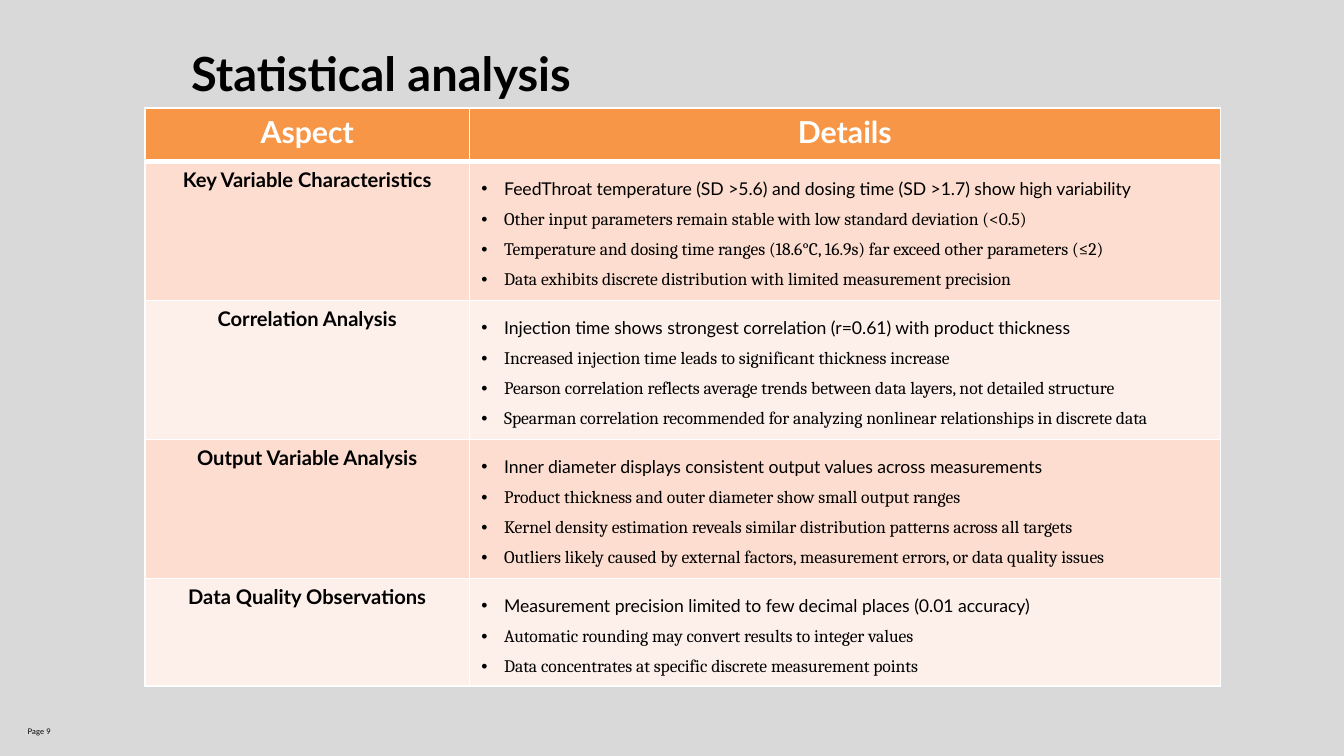
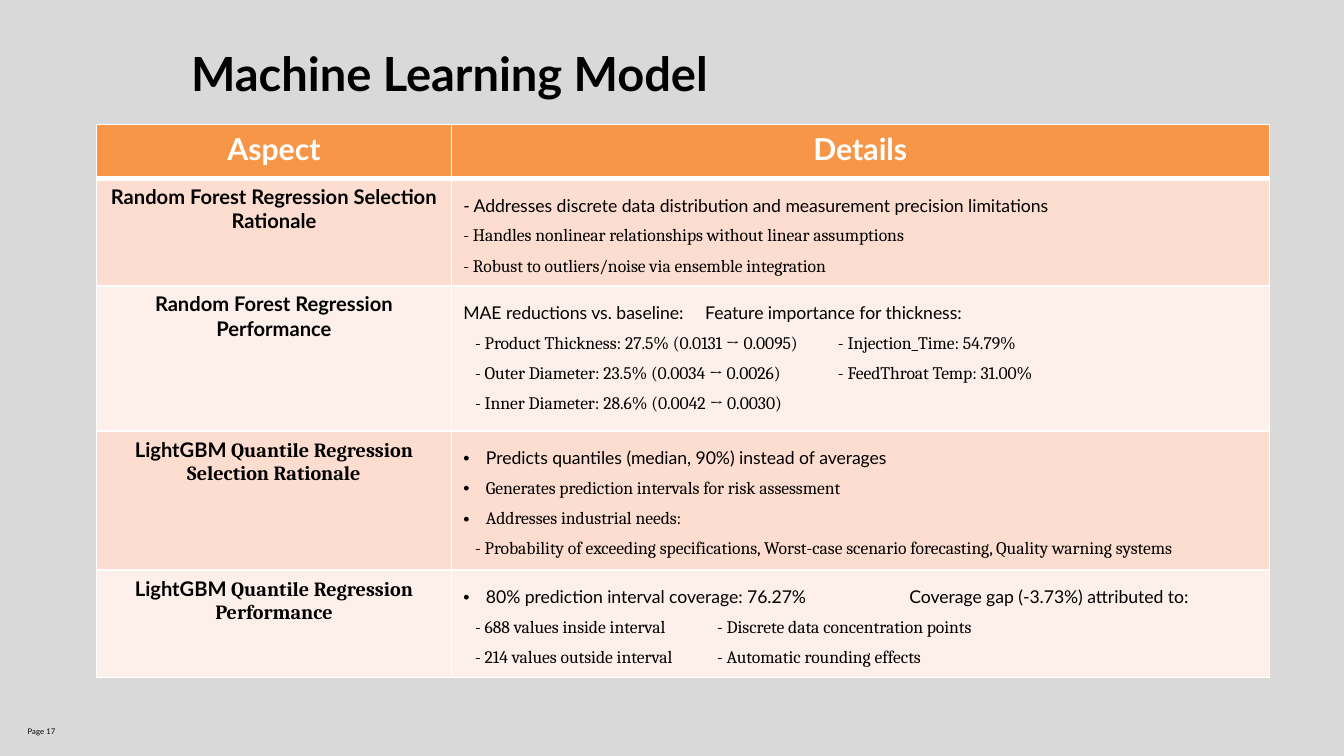
from typing import NamedTuple

from lxml import etree
from pptx import Presentation
from pptx.dml.color import RGBColor
from pptx.enum.text import MSO_ANCHOR, PP_ALIGN
from pptx.oxml.ns import qn
from pptx.util import Pt

CENTER = PP_ALIGN.CENTER
LEFT = PP_ALIGN.LEFT
MIDDLE = MSO_ANCHOR.MIDDLE

# Shared look
BACKGROUND = "D9D9D9"
HEADER_FILL = "F79646"
BAND_FILLS = ("FCDDCF", "FDEFE9")
WHITE = "FFFFFF"
BLACK = "000000"
SANS = "Lato"
SERIF = "Cambria"
THIN, THICK = 1, 3
HEADINGS = ("Aspect", "Details")


class Line(NamedTuple):
    """One line of details; a tab in the text jumps to the stop at tab points."""
    text: str
    indent: float = 0
    bulleted: bool = False
    tab: float = 0


def bullet(text, tab=0):
    return Line(text, 13.5, True, tab)


def sub(text, tab=0):
    return Line(text, 7, False, tab)


STATISTICS = [
    ([("Key Variable Characteristics", SANS)], [
        bullet("FeedThroat temperature (SD >5.6) and dosing time (SD >1.7) show high variability"),
        bullet("Other input parameters remain stable with low standard deviation (<0.5)"),
        bullet("Temperature and dosing time ranges (18.6°C, 16.9s) far exceed other parameters (≤2)"),
        bullet("Data exhibits discrete distribution with limited measurement precision")]),
    ([("Correlation Analysis", SANS)], [
        bullet("Injection time shows strongest correlation (r=0.61) with product thickness"),
        bullet("Increased injection time leads to significant thickness increase"),
        bullet("Pearson correlation reflects average trends between data layers, not detailed structure"),
        bullet("Spearman correlation recommended for analyzing nonlinear relationships in discrete data")]),
    ([("Output Variable Analysis", SANS)], [
        bullet("Inner diameter displays consistent output values across measurements"),
        bullet("Product thickness and outer diameter show small output ranges"),
        bullet("Kernel density estimation reveals similar distribution patterns across all targets"),
        bullet("Outliers likely caused by external factors, measurement errors, or data quality issues")]),
    ([("Data Quality Observations", SANS)], [
        bullet("Measurement precision limited to few decimal places (0.01 accuracy)"),
        bullet("Automatic rounding may convert results to integer values"),
        bullet("Data concentrates at specific discrete measurement points")]),
]

MODELS = [
    ([("Random Forest Regression Selection Rationale", SANS)], [
        Line("- Addresses discrete data distribution and measurement precision limitations"),
        Line("- Handles nonlinear relationships without linear assumptions"),
        Line("- Robust to outliers/noise via ensemble integration")]),
    ([("Random Forest Regression Performance", SANS)], [
        Line("MAE reductions vs. baseline:\tFeature importance for thickness:", tab=256.5),
        sub("- Product Thickness: 27.5% (0.0131 → 0.0095)\t- Injection_Time: 54.79%", 236),
        sub("- Outer Diameter: 23.5% (0.0034 → 0.0026)\t- FeedThroat Temp: 31.00%", 237),
        sub("- Inner Diameter: 28.6% (0.0042 → 0.0030)")]),
    ([("LightGBM", SANS), (" Quantile Regression Selection Rationale", SERIF)], [
        bullet("Predicts quantiles (median, 90%) instead of averages"),
        bullet("Generates prediction intervals for risk assessment"),
        bullet("Addresses industrial needs:"),
        sub("- Probability of exceeding specifications, Worst-case scenario forecasting, "
            "Quality warning systems")]),
    ([("LightGBM", SANS), (" Quantile Regression Performance", SERIF)], [
        bullet("80% prediction interval coverage: 76.27%\tCoverage gap (-3.73%) attributed to:", 265.5),
        sub("- 688 values inside interval\t- Discrete data concentration points", 233),
        sub("- 214 values outside interval\t- Automatic rounding effects", 232.5)]),
]


def color(hex_value):
    return RGBColor.from_string(hex_value)


def add_run(paragraph, text, size, font=SANS, bold=False, ink=BLACK):
    run = paragraph.add_run()
    run.text = text
    run.font.size = Pt(size)
    run.font.name = font
    run.font.bold = bold
    run.font.color.rgb = color(ink)
    return run


def add_title(slide, text):
    frame = slide.shapes.add_textbox(Pt(113.8), Pt(30.2), Pt(543), Pt(29)).text_frame
    frame.word_wrap = True
    frame.margin_left = frame.margin_right = frame.margin_top = frame.margin_bottom = 0
    paragraph = frame.paragraphs[0]
    paragraph.line_spacing = 0.9
    add_run(paragraph, text, 28, bold=True)


def add_page_label(slide, number):
    frame = slide.shapes.add_textbox(Pt(9.4), Pt(420.5), Pt(69), Pt(24)).text_frame
    frame.word_wrap = True
    frame.vertical_anchor = MIDDLE
    run = add_run(frame.paragraphs[0], f"Page {number}", 8)
    run.font._element.set("baseline", "-25000")


def style_cell(cell, fill, top=THIN, bottom=THIN):
    properties = cell._tc.get_or_add_tcPr()
    for side, width in (("L", THIN), ("R", THIN), ("T", top), ("B", bottom)):
        border = etree.SubElement(properties, qn(f"a:ln{side}"), w=str(Pt(width)))
        ink = etree.SubElement(border, qn("a:solidFill"))
        etree.SubElement(ink, qn("a:srgbClr"), val=WHITE)
    cell.fill.solid()
    cell.fill.fore_color.rgb = color(fill)


def format_line(paragraph, line):
    properties = paragraph._p.get_or_add_pPr()
    properties.set("marL", str(Pt(line.indent)))
    properties.set("indent", str(-Pt(line.indent) if line.bulleted else 0))
    if line.bulleted:
        etree.SubElement(properties, qn("a:buFont"), typeface="Arial")
        etree.SubElement(properties, qn("a:buChar"), char="•")
    if line.tab:
        stops = etree.SubElement(properties, qn("a:tabLst"))
        etree.SubElement(stops, qn("a:tab"), pos=str(Pt(line.tab)), algn="l")
    paragraph.alignment = LEFT
    paragraph.line_spacing = 1.5


def fill_details(cell, lines):
    # The lead line is sans, the rest serif
    frame = cell.text_frame
    for index, line in enumerate(lines):
        paragraph = frame.add_paragraph() if index else frame.paragraphs[0]
        format_line(paragraph, line)
        add_run(paragraph, line.text, 10.5, SERIF if index else SANS)


def add_aspect_table(slide, left, top, widths, heights, aspects):
    table = slide.shapes.add_table(len(heights), len(widths), Pt(left), Pt(top),
                                   Pt(sum(widths)), Pt(sum(heights))).table
    table.first_row = table.horz_banding = False
    for column, width in zip(table.columns, widths):
        column.width = Pt(width)
    for row, height in zip(table.rows, heights):
        row.height = Pt(height)

    # Header row
    for index, heading in enumerate(HEADINGS):
        cell = table.cell(0, index)
        style_cell(cell, HEADER_FILL, bottom=THICK)
        paragraph = cell.text_frame.paragraphs[0]
        paragraph.alignment = CENTER
        add_run(paragraph, heading, 18, bold=True, ink=WHITE)

    # Banded rows
    for number, (aspect, details) in enumerate(aspects, 1):
        aspect_cell, details_cell = table.cell(number, 0), table.cell(number, 1)
        for cell in (aspect_cell, details_cell):
            style_cell(cell, BAND_FILLS[(number - 1) % 2], top=THICK if number == 1 else THIN)
        paragraph = aspect_cell.text_frame.paragraphs[0]
        paragraph.alignment = CENTER
        for text, font in aspect:
            add_run(paragraph, text, 12, font, bold=True)
        fill_details(details_cell, details)


def add_page(prs, title, number):
    slide = prs.slides.add_slide(prs.slide_layouts[6])
    add_title(slide, title)
    add_page_label(slide, number)
    return slide


def main():
    prs = Presentation()
    prs.slide_width, prs.slide_height = Pt(800), Pt(450)
    backdrop = prs.slide_master.background.fill
    backdrop.solid()
    backdrop.fore_color.rgb = color(BACKGROUND)

    statistics = add_page(prs, "Statistical analysis", 9)
    add_aspect_table(statistics, 86.4, 64.2, (193, 447), (32, 80, 80, 80, 61.5), STATISTICS)

    models = add_page(prs, "Machine Learning Model", 17)
    add_aspect_table(models, 57.6, 74.2, (211, 487), (32, 64, 86.4, 80, 61.5), MODELS)

    prs.save("out.pptx")


if __name__ == "__main__":
    main()
